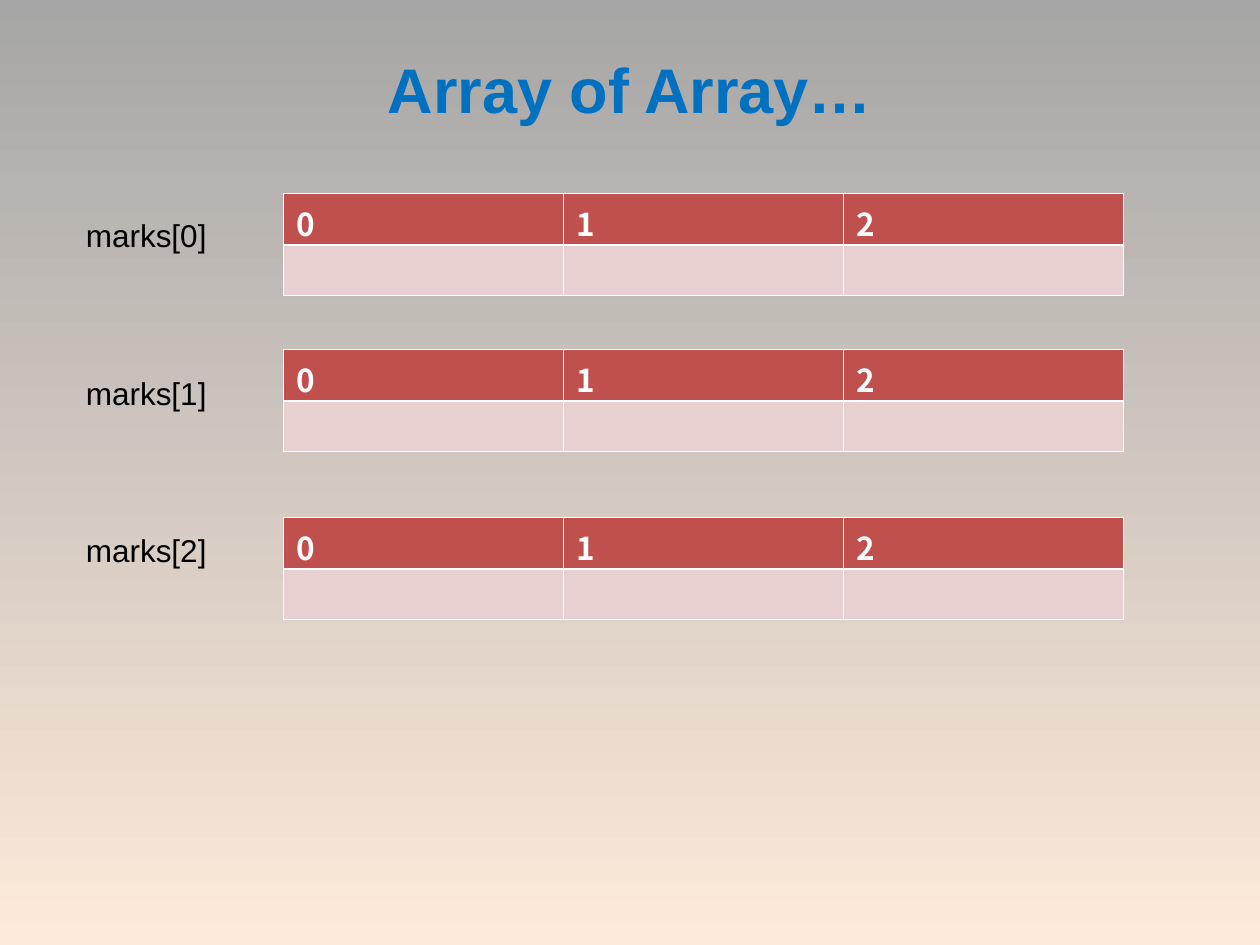
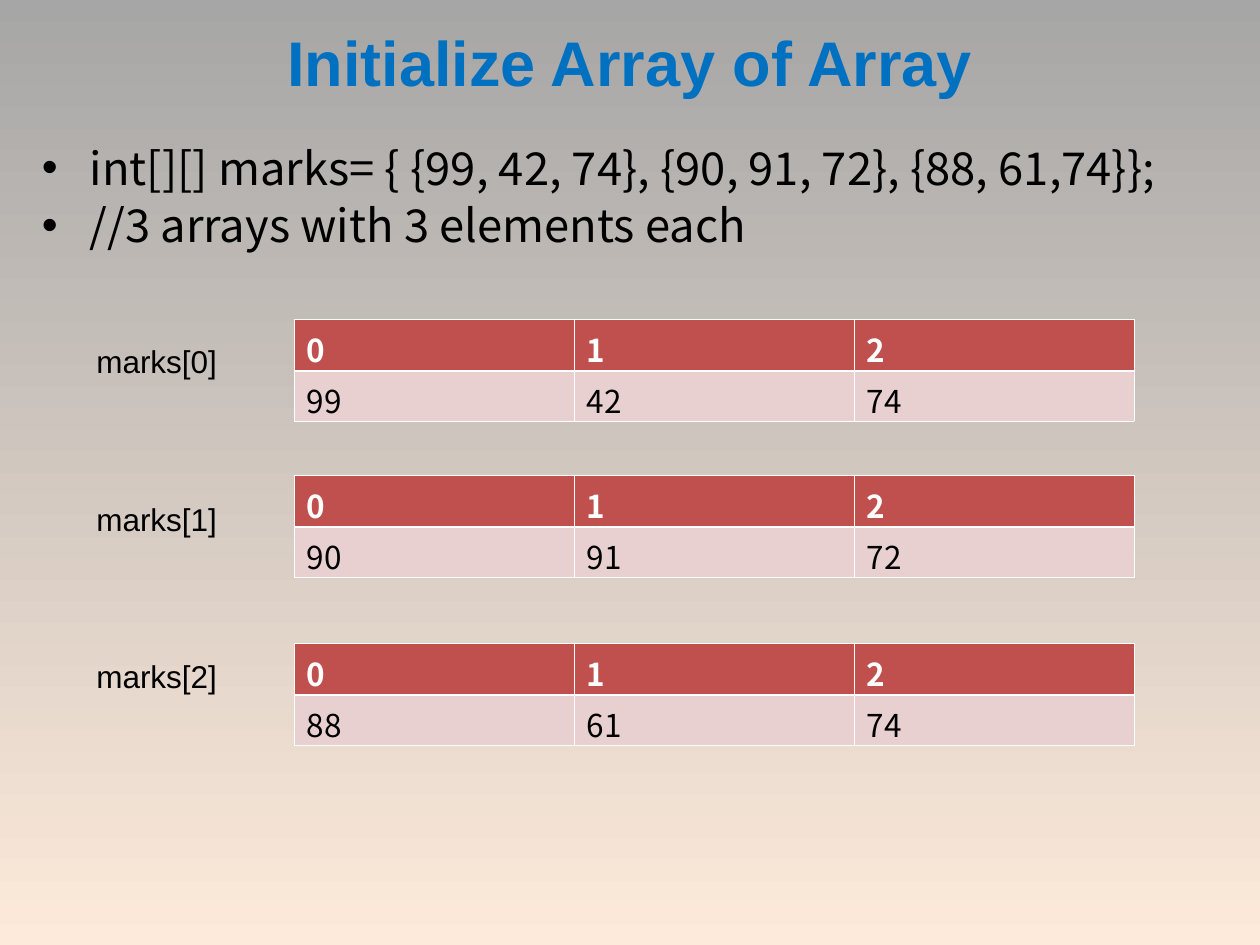
from dataclasses import dataclass

from lxml.etree import SubElement
from pptx import Presentation
from pptx.dml.color import RGBColor
from pptx.enum.text import PP_ALIGN
from pptx.oxml.ns import qn
from pptx.util import Inches, Pt


@dataclass(frozen=True)
class Theme:
    sky: str = "A6A6A6"
    ground: str = "FDEADA"
    title: str = "0070C0"
    text: str = "000000"
    header: str = "C0504D"
    cell: str = "E8D0D0"
    light: str = "FFFFFF"
    sans: str = "Arial"
    body: str = "Noto Sans CJK KR"
    title_size: float = 36
    bullet_size: float = 25.9
    text_size: float = 18
    thin: float = 0.45
    thick: float = 1.47


@dataclass(frozen=True)
class Area:
    column: float
    row: float
    columns: float
    rows: float


@dataclass(frozen=True)
class ArraySlide:
    title: str
    title_row: float
    bullets: tuple
    left_column: float
    top_row: float
    marks: tuple


THEME = Theme()
WIDTH, HEIGHT = Inches(10), Inches(7.5)
GRID_COLUMNS, GRID_ROWS = 120, 90
TABLE_OFFSETS = (0, 14.9, 30.9)
LABEL_PITCH = 15
LABEL_DROP = 1.6
ROW_HEIGHTS = (4.9, 4.8)
INDENT = Inches(0.38)

SLIDES = (
    ArraySlide("Array of Array…", 3.6, (), 7, 18.4, (("", "", ""),) * 3),
    ArraySlide(
        "Initialize Array of Array",
        1,
        (
            "int[][] marks= { {99, 42, 74}, {90, 91, 72}, {88, 61,74}};",
            "//3 arrays with 3 elements each",
        ),
        8,
        30.4,
        (("99", "42", "74"), ("90", "91", "72"), ("88", "61", "74")),
    ),
)


def across(columns: float) -> int:
    return round(WIDTH * columns / GRID_COLUMNS)


def down(rows: float) -> int:
    return round(HEIGHT * rows / GRID_ROWS)


def place(area: Area) -> tuple:
    return across(area.column), down(area.row), across(area.columns), down(area.rows)


def style(para, font: str, size: float, color: str, bold: bool = False) -> None:
    for span in para.runs:
        span.font.name = font
        span.font.size = Pt(size)
        span.font.bold = bold
        span.font.color.rgb = RGBColor.from_string(color)


def add_text(page, area: Area, text: str, top_inset: float = 0.05):
    box = page.shapes.add_textbox(*place(area))
    frame = box.text_frame
    frame.word_wrap = True
    frame.margin_top = Inches(top_inset)
    frame.text = text
    return frame


def add_title(page, text: str, row: float) -> None:
    para = add_text(page, Area(6, row, 108, 11.4), text, 0.1).paragraphs[0]
    para.alignment = PP_ALIGN.CENTER
    style(para, THEME.sans, THEME.title_size, THEME.title, True)


def add_bullets(page, lines: tuple) -> None:
    frame = add_text(page, Area(2.8, 13.1, 117.2, 13.1), "\n".join(lines), 0.09)
    for index, para in enumerate(frame.paragraphs):
        properties = para._p.get_or_add_pPr()
        properties.set("marL", str(INDENT))
        properties.set("indent", str(-INDENT))
        color = SubElement(properties, qn("a:buClr"))
        SubElement(color, qn("a:srgbClr"), val=THEME.text)
        SubElement(properties, qn("a:buFont"), typeface=THEME.sans)
        SubElement(properties, qn("a:buChar"), char="•")
        para.line_spacing = 0.83
        para.space_before = Pt(7 if index else 0)
        style(para, THEME.body, THEME.bullet_size, THEME.text)


def add_borders(cell, is_header: bool) -> None:
    thick_side = "lnB" if is_header else "lnT"
    properties = cell._tc.get_or_add_tcPr()
    for side in ("lnL", "lnR", "lnT", "lnB"):
        width = THEME.thick if side == thick_side else THEME.thin
        line = SubElement(properties, qn(f"a:{side}"), w=str(int(Pt(width))))
        fill = SubElement(line, qn("a:solidFill"))
        SubElement(fill, qn("a:srgbClr"), val=THEME.light)


def add_array(page, area: Area, values: tuple) -> None:
    headings = tuple(str(index) for index in range(len(values)))
    table = page.shapes.add_table(2, len(values), *place(area)).table
    for row_index, texts in enumerate((headings, values)):
        is_header = row_index == 0
        table.rows[row_index].height = down(ROW_HEIGHTS[row_index])
        for column_index, text in enumerate(texts):
            cell = table.cell(row_index, column_index)
            cell.text_frame.text = text
            color = THEME.light if is_header else THEME.text
            style(cell.text_frame.paragraphs[0], THEME.body, THEME.text_size, color, is_header)
            add_borders(cell, is_header)
            cell.fill.solid()
            cell.fill.fore_color.rgb = RGBColor.from_string(THEME.header if is_header else THEME.cell)


def paint_background(page) -> None:
    fill = page.background.fill
    fill.gradient()
    fill.gradient_angle = 270
    for stop, color, position in zip(fill.gradient_stops, (THEME.sky, THEME.ground), (0, 1)):
        stop.color.rgb = RGBColor.from_string(color)
        stop.position = position


def add_array_slide(deck, content: ArraySlide) -> None:
    page = deck.slides.add_slide(deck.slide_layouts[6])
    paint_background(page)
    add_title(page, content.title, content.title_row)
    if content.bullets:
        add_bullets(page, content.bullets)
    for index, (offset, values) in enumerate(zip(TABLE_OFFSETS, content.marks)):
        table_area = Area(content.left_column + 20, content.top_row + offset, 80, sum(ROW_HEIGHTS))
        add_array(page, table_area, values)
        label_row = content.top_row + LABEL_DROP + index * LABEL_PITCH
        frame = add_text(page, Area(content.left_column, label_row, 17, 4.8), f"marks[{index}]")
        style(frame.paragraphs[0], THEME.sans, THEME.text_size, THEME.text)


def main() -> None:
    deck = Presentation()
    deck.slide_width, deck.slide_height = WIDTH, HEIGHT
    for content in SLIDES:
        add_array_slide(deck, content)
    deck.save("out.pptx")


if __name__ == "__main__":
    main()
